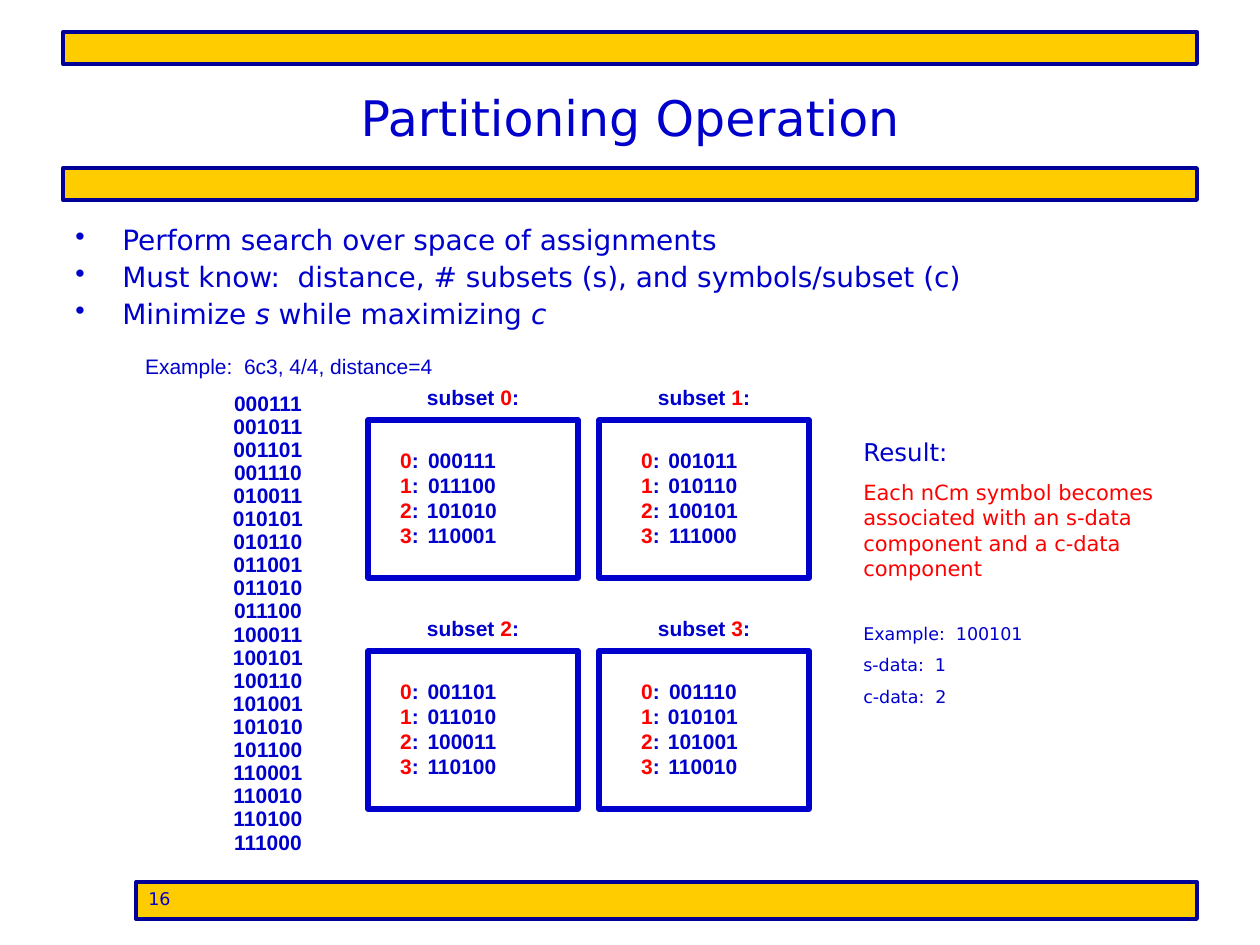
from itertools import product
from lxml.etree import SubElement
from pptx import Presentation
from pptx.dml.color import RGBColor
from pptx.enum.shapes import MSO_SHAPE
from pptx.enum.text import MSO_ANCHOR, PP_ALIGN
from pptx.oxml.ns import qn
from pptx.util import Emu, Pt

PX = 914400 // 126
BLUE, NAVY, RED, GOLD = "0000CC", "000099", "FF0000", "FFCC00"
SANS, ARIAL = "DejaVu Sans", "Arial"
CENTER = {"alignment": PP_ALIGN.CENTER}
BOLD = {"name": ARIAL, "size": Pt(12), "bold": True}

TITLE = "Partitioning Operation"
BARS = [(63, 168, 1134, 32), (63, 32, 1134, 32)]
PAGE_BAR, PAGE = (136, 882, 1061, 37), "16"
BULLETS = [
    ["Perform search over space of assignments"],
    ["Must know:  distance, # subsets (s), and symbols/subset (c)"],
    ["Minimize ", ("s", {"italic": True}), " while maximizing ", ("c", {"italic": True})],
]
EXAMPLE = "Example:  6c3, 4/4, distance=4"
SYMBOLS = [
    "000111", "001011", "001101", "001110", "010011", "010101", "010110",
    "011001", "011010", "011100", "100011", "100101", "100110", "101001",
    "101010", "101100", "110001", "110010", "110100", "111000",
]
SUBSETS = [
    ["000111", "011100", "101010", "110001"],
    ["001011", "010110", "100101", "111000"],
    ["001101", "011010", "100011", "110100"],
    ["001110", "010101", "101001", "110010"],
]
RESULT = [  # text, size, colour, space before
    ("Result:", 14, BLUE, 0),
    ("Each nCm symbol becomes associated with an s-data component and a c-data component", 12, RED, 7.5),
    ("Example:  100101", 10, BLUE, 24),
    ("s-data:  1", 10, BLUE, 6.2),
    ("c-data:  2", 10, BLUE, 6.2),
]


def px(*values):
    return [Emu(v * PX) for v in values]


def rgb(color):
    return RGBColor.from_string(color)


def put(obj, values):
    for key, value in values.items():
        setattr(obj, key, value)


def add_runs(p, runs, font):
    for run in runs:
        text, extra = run if isinstance(run, tuple) else (run, {})
        fmt = {"color": BLUE, **font, **extra}
        r = p.add_run()
        r.text = text
        r.font.color.rgb = rgb(fmt.pop("color"))
        put(r.font, fmt)


def add_text(s, box, paras, font, para_fmt=CENTER):
    tf = s.shapes.add_textbox(*px(*box)).text_frame
    tf.word_wrap = True
    for i, runs in enumerate(paras):
        p = tf.paragraphs[0] if i == 0 else tf.add_paragraph()
        put(p, para_fmt)
        add_runs(p, runs, font)
    return tf


def add_rect(s, box, fill, line, width):
    sp = s.shapes.add_shape(MSO_SHAPE.RECTANGLE, *px(*box))
    sp.shadow.inherit = False
    if fill:
        sp.fill.solid()
        sp.fill.fore_color.rgb = rgb(fill)
    else:
        sp.fill.background()
    sp.line.color.rgb = rgb(line)
    sp.line.width = Pt(width)
    return sp


def add_bullets(s):
    tf = add_text(s, (63, 220, 1134, 136), BULLETS, {"name": SANS, "size": Pt(16)},
                  {"line_spacing": 0.9})
    for i, p in enumerate(tf.paragraphs):
        if i:
            p.space_before = Pt(4)
        pPr = p._p.get_or_add_pPr()
        pPr.set("marL", str(47 * PX))
        pPr.set("indent", str(-47 * PX))
        SubElement(SubElement(pPr, qn("a:buClr")), qn("a:srgbClr"), val=BLUE)
        SubElement(pPr, qn("a:buChar"), char="•")


def add_subsets(s):
    for n, (row, col) in enumerate(product(range(2), repeat=2)):
        x, y, inner = 368 + 231 * col, 420 + 231 * row, 241 * col
        add_rect(s, (x, y, 210, 158), None, BLUE, 3)
        add_text(s, (x, y - 42, 210, 38), [["subset ", (str(n), {"color": RED}), ":"]], BOLD)
        add_text(s, (399 + inner, y + 21, 126, 113), [[code] for code in SUBSETS[n]], BOLD)
        add_text(s, (378 + inner, y + 21, 63, 113),
                 [[(str(i), {"color": RED}), ":"] for i in range(len(SUBSETS[n]))], BOLD)


def add_result(s):
    paras = [[(text, {"size": Pt(size), "color": color})] for text, size, color, _ in RESULT]
    tf = add_text(s, (851, 431, 346, 284), paras, {"name": SANS}, {})
    for p, (*_, before) in zip(tf.paragraphs, RESULT):
        if before:
            p.space_before = Pt(before)


def main():
    """Build the partitioning slide and save it."""
    prs = Presentation()
    prs.slide_width, prs.slide_height = px(1260, 945)
    s = prs.slides.add_slide(prs.slide_layouts[6])
    for box in BARS:
        add_rect(s, box, GOLD, NAVY, 2.25)
    tf = add_text(s, (63, 38, 1134, 158), [[TITLE]], {"name": SANS, "size": Pt(28)})
    tf.vertical_anchor = MSO_ANCHOR.MIDDLE
    add_bullets(s)
    for i, symbol in enumerate(SYMBOLS):
        add_text(s, (210, 384 + 439 * i // 19, 116, 38), [[symbol]], BOLD)
    add_text(s, (105, 347, 368, 38), [[EXAMPLE]], {"name": ARIAL, "size": Pt(12)})
    add_subsets(s)
    add_result(s)
    tf = add_rect(s, PAGE_BAR, GOLD, NAVY, 2.25).text_frame
    tf.vertical_anchor = MSO_ANCHOR.TOP
    tf.paragraphs[0].alignment = PP_ALIGN.LEFT
    add_runs(tf.paragraphs[0], [PAGE], {"name": SANS, "size": Pt(10)})
    prs.save("out.pptx")


if __name__ == "__main__":
    main()
